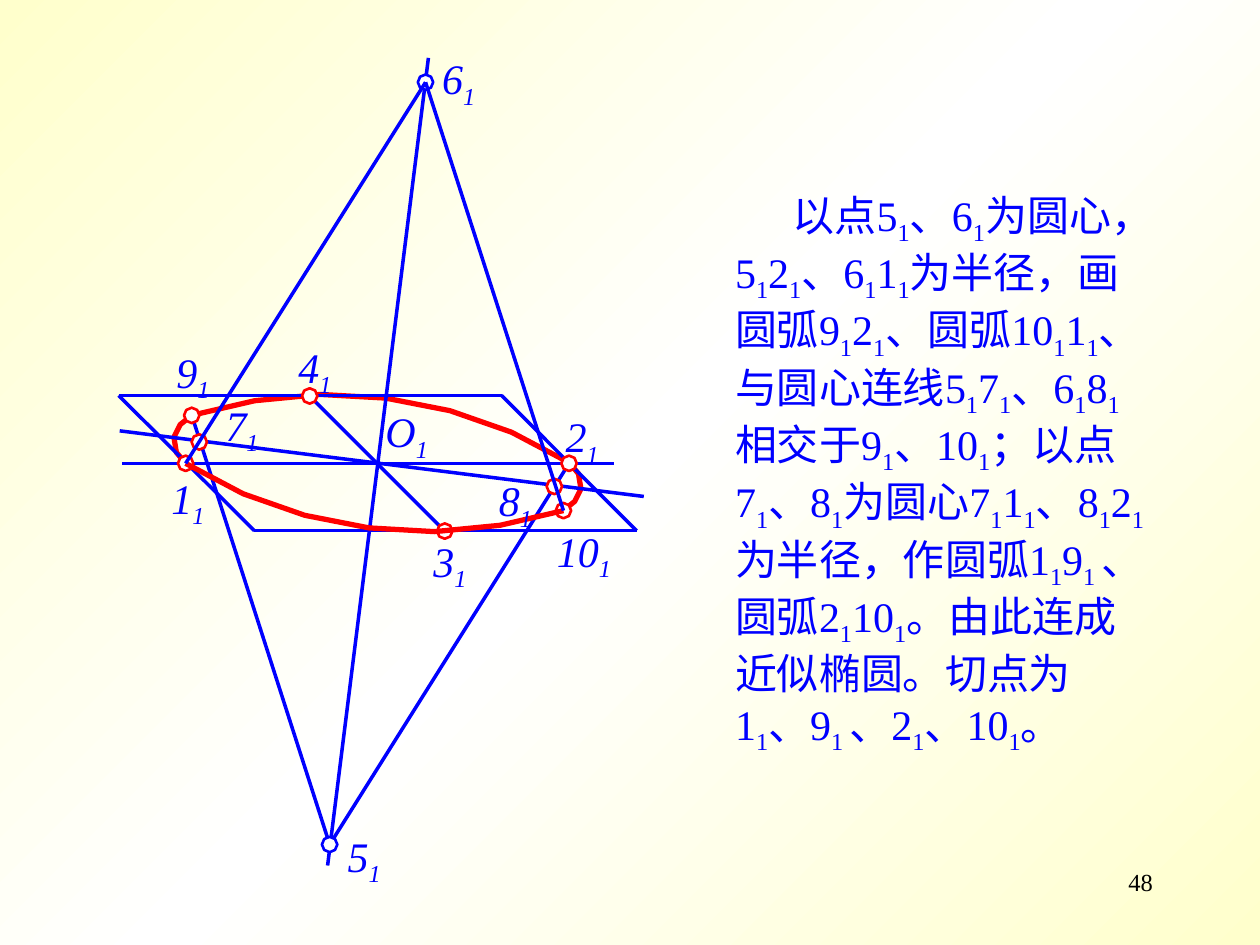
from copy import deepcopy
from math import cos, pi, sin

from lxml.etree import SubElement
from pptx import Presentation
from pptx.dml.color import RGBColor
from pptx.enum.shapes import MSO_CONNECTOR
from pptx.enum.text import PP_ALIGN
from pptx.oxml.ns import qn
from pptx.util import Pt

BLUE, RED, WHITE, CREAM = "0000FF", "FF0000", "FFFFFF", "FFFFCC"
FONT = "Times New Roman"
hue = RGBColor.from_string

deck = Presentation()
deck.slide_width, deck.slide_height = Pt(720), Pt(540)
slide = deck.slides.add_slide(deck.slide_layouts[6])
shapes = slide.shapes

# Diagonal background, white in the middle
back = slide.background.fill
back.gradient()
back.gradient_angle = 315
first = back.gradient_stops[0]._gs
first.addnext(deepcopy(first))
for stop, (place, tint) in zip(back.gradient_stops, [(0, CREAM), (0.5, WHITE), (1, CREAM)]):
    stop.position = place
    stop.color.rgb = hue(tint)


def draw(points, color, width=0, fill=None):
    """Draw a line through two points, or an outline through more; fill closes it."""
    dots = [(Pt(x), Pt(y)) for x, y in points]
    if len(dots) == 2:
        shape = shapes.add_connector(MSO_CONNECTOR.STRAIGHT, *dots[0], *dots[1])
        SubElement(shape._element.spPr, qn("a:effectLst"))
    else:
        pen = shapes.build_freeform(*dots[0])
        pen.add_line_segments(dots[1:], close=bool(fill))
        shape = pen.convert_to_shape()
        shape.shadow.inherit = False
        if fill:
            shape.fill.solid()
            shape.fill.fore_color.rgb = hue(fill)
        else:
            shape.fill.background()
    shape.line.color.rgb = hue(color)
    shape.line.width = Pt(width)


def write(text, left, top, width, height, size=24, color=BLUE, italic=False):
    """Add a text box; underscores switch subscript on and off."""
    box = shapes.add_textbox(Pt(left), Pt(top), Pt(width), Pt(height))
    frame = box.text_frame
    frame.word_wrap = True
    frame.margin_left = frame.margin_right = frame.margin_top = frame.margin_bottom = 0
    para = frame.paragraphs[0]
    for i, piece in enumerate(text.split("_")):
        if not piece:
            continue
        run = para.add_run()
        run.text = piece
        font = run.font
        font.name, font.size, font.italic = FONT, Pt(size), italic
        font.color.rgb = hue(color)
        if i % 2:
            run._r.get_or_add_rPr().set("baseline", "-25000")
    return para


# Key points; the figure is symmetric about its centre
center = (215.7, 264.6)
one, two = (106.1, 264.8), (325.2, 264.8)
five, six = (188.4, 482.6), (243.2, 47)
nine, ten = (109.6, 237.4), (322, 291.8)
three, four = (254.2, 303.5), (177, 226.3)
seven, eight = (113.9, 252.6), (316.8, 278)
frame = [(67.8, 226), (286.6, 226), (363.8, 303.3), (145.4, 303.3)]

# Arcs from 1 to 9 and from 1 to 10, each with its mirrored twin
small = [nine, (103, 242.6), (99.4, 249.8), (100.8, 258.5), one]
large = [one, (139, 282.2), (174.2, 294.5), (211, 301.7), (248.4, 303.8), (285.8, 300.2), ten]
small_twin, large_twin = [
    [(2 * center[0] - x, 2 * center[1] - y) for x, y in arc] for arc in (small, large)
]
for arc in (small, small_twin, large_twin):
    draw(arc, RED, 3)

# Axes, parallelogram and lines from centre 5
lines = [
    [(244.8, 33.1), (187.2, 494.6)],
    [(68.4, 246.2), (367.9, 283.7)],
    [(69.8, 264.8), (350.6, 264.8)],
    [three, four],
    [five, two],
    [five, nine],
]
lines += [[frame[i - 1], frame[i]] for i in range(4)]
for line in lines:
    draw(line, BLUE)

rings = [(spot, RED) for spot in (nine, seven, one, four, three, two, eight, ten)]
rings += [(five, BLUE), (six, BLUE)]
for (x, y), color in rings:
    angles = [i * pi / 4 for i in range(8)]
    draw([(x + 4.4 * cos(a), y + 4.4 * sin(a)) for a in angles], color, 1.5, WHITE)

# Lower arc and lines from centre 6 lie over the rings
draw(large, RED, 3)
for end in (one, ten):
    draw([six, end], BLUE)

labels = [
    ("5", 198.7, 474.5), ("6", 252.7, 30.2), ("9", 100.8, 198), ("8", 285.1, 271.4),
    ("1", 97.9, 270), ("3", 247.7, 306), ("4", 170.6, 195.1), ("7", 128.9, 228.2),
    ("O", 220.3, 231.8), ("2", 323.3, 234.7), ("10", 318.2, 300.2),
]
for name, left, top in labels:
    write(name + "_1", left, top, 42, 33, italic=True)

story = (
    "以点5_1_、6_1_为圆心，5_1_2_1_、6_1_1_1_为半径，画圆弧9_1_2_1_、"
    "圆弧10_1_1_1_、与圆心连线5_1_7_1_、6_1_8_1_相交于9_1_、10_1_；"
    "以点7_1_、8_1_为圆心7_1_1_1_、8_1_2_1_为半径，作圆弧1_1_9_1 _、"
    "圆弧2_1_10_1_。由此连成近似椭圆。切点为1_1_、9_1 _、2_1_、10_1_。"
)
para = write(story, 420, 108, 234, 361)
para._p.get_or_add_pPr().set("indent", str(Pt(33)))

number = write("48", 523.4, 495.4, 135.4, 28.8, size=14, color="000000")
number.alignment = PP_ALIGN.RIGHT

deck.save("out.pptx")
